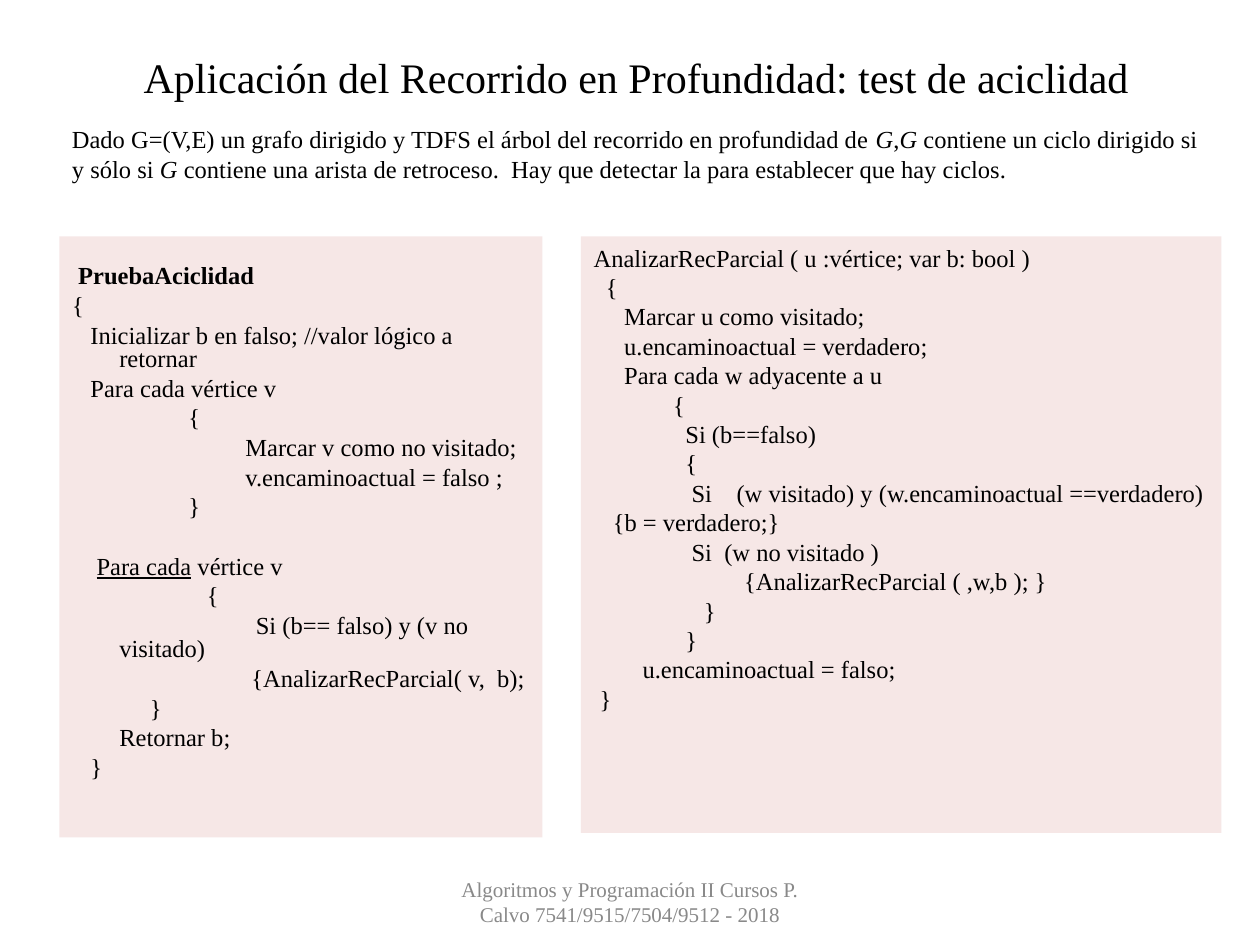
"""Build the slide on the acyclicity test by depth-first traversal."""
import pptx
import pptx.dml.color
import pptx.enum.text
import pptx.oxml.ns
import pptx.util

Pt = pptx.util.Pt
Anchor = pptx.enum.text.MSO_ANCHOR
Align = pptx.enum.text.PP_ALIGN

COLORS = {"text": "000000", "panel": "F2DCDB", "footer": "898989"}
FONT = "Times New Roman"
SPACE = 3.5

TITLE = "Aplicación del Recorrido en Profundidad: test de aciclidad"
INTRO = [
    ("Dado G=(V,E) un grafo dirigido y TDFS el árbol del recorrido en profundidad de ", {}),
    ("G", {"italic": True}),
    (",", {}),
    ("G ", {"italic": True}),
    ("contiene un ciclo dirigido si y sólo si ", {}),
    ("G", {"italic": True}),
    (" contiene una arista de retroceso.  Hay que detectar la para establecer que hay ciclos.", {}),
]
FOOTER = "Algoritmos y Programación II Cursos P. Calvo 7541/9515/7504/9512 - 2018"

TEST_LINES = [
    (SPACE, [("PruebaAciclidad", {"bold": True})]),
    (0, "{"),
    (3 * SPACE, "Inicializar b en falso; //valor lógico a retornar"),
    (3 * SPACE, "Para cada vértice v"),
    (19 * SPACE, "{"),
    (99, "Marcar v como no visitado;"),
    (99, "v.encaminoactual = falso ;"),
    (19 * SPACE, "}"),
    (4 * SPACE, [("Para cada", {"underline": True}), (" vértice v", {})]),
    (22 * SPACE, "{"),
    (30 * SPACE, "Si (b== falso) y (v no visitado)"),
    (102.5, "{AnalizarRecParcial( v,  b);"),
    (44.5, "}"),
    (27, "Retornar b;"),
    (3 * SPACE, "}"),
]
SECOND_LOOP = 8
PARTIAL_LINES = [
    (0, "AnalizarRecParcial ( u :vértice; var b: bool )"),
    (2 * SPACE, "{"),
    (5 * SPACE, "Marcar u como visitado;"),
    (5 * SPACE, "u.encaminoactual = verdadero;"),
    (5 * SPACE, "Para cada w adyacente a u"),
    (13 * SPACE, "{"),
    (15 * SPACE, "Si (b==falso)"),
    (15 * SPACE, "{"),
    (16 * SPACE, "Si    (w visitado) y (w.encaminoactual ==verdadero)\v{b = verdadero;}"),
    (16 * SPACE, "Si  (w no visitado )"),
    (86, "{AnalizarRecParcial ( ,w,b ); }"),
    (18 * SPACE, "}"),
    (15 * SPACE, "}"),
    (8 * SPACE, "u.encaminoactual = falso;"),
    (SPACE, "}"),
]


class SlideBuilder:
    """Hold the style and the current slide."""

    def __init__(self, slide):
        self.slide = slide

    def apply(self, target, values):
        """Set each named value on the target."""
        for name, value in values.items():
            setattr(target, name, value)

    def place(self, shape, box, top_inset=3.6, anchor=Anchor.TOP):
        """Position a shape and format its text frame."""
        left, top, width, height = box
        self.apply(shape, {"left": Pt(left), "top": Pt(top), "width": Pt(width), "height": Pt(height)})
        self.apply(shape.text_frame, {
            "word_wrap": True, "auto_size": pptx.enum.text.MSO_AUTO_SIZE.NONE,
            "vertical_anchor": anchor, "margin_top": Pt(top_inset),
            "margin_left": Pt(7.2), "margin_right": Pt(7.2), "margin_bottom": Pt(3.6)})

    def fill_paragraph(self, paragraph, content, size=14, color="text", **layout):
        """Put a string or a list of formatted runs into a paragraph."""
        self.apply(paragraph, layout)
        runs = [(content, {})] if isinstance(content, str) else content
        for text, style in runs:
            for number, part in enumerate(text.split("\v")):
                if number:
                    paragraph.add_line_break()
                run = paragraph.add_run()
                run.text = part
                self.apply(run.font, {"name": FONT, "size": Pt(size), **style})
                run.font.color.rgb = pptx.dml.color.RGBColor.from_string(COLORS[color])

    def title(self, text, box):
        """Fill the title placeholder."""
        shape = self.slide.shapes.title
        self.place(shape, box, anchor=Anchor.MIDDLE)
        self.fill_paragraph(shape.text_frame.paragraphs[0], text, 24, alignment=Align.CENTER)

    def label(self, content, box, anchor=Anchor.TOP, **style):
        """Add a text box with one paragraph."""
        shape = self.slide.shapes.add_textbox(0, 0, 0, 0)
        self.place(shape, box, anchor=anchor)
        self.fill_paragraph(shape.text_frame.paragraphs[0], content, **style)

    def code_panel(self, index, lines, box, margin, top_inset=3.6, gaps=None, **layout):
        """Fill a body placeholder with indented code on a translucent panel."""
        shape = self.slide.placeholders[index]
        self.place(shape, box, top_inset)
        shape.fill.solid()
        shape.fill.fore_color.rgb = pptx.dml.color.RGBColor.from_string(COLORS["panel"])
        color = shape._element.spPr.find(".//" + pptx.oxml.ns.qn("a:srgbClr"))
        color.append(color.makeelement(pptx.oxml.ns.qn("a:alpha"), {"val": "68000"}))
        frame = shape.text_frame
        for number, (start, content) in enumerate(lines):
            paragraph = frame.add_paragraph() if number else frame.paragraphs[0]
            spacing = {**layout, **(gaps or {}).get(number, {})}
            self.fill_paragraph(paragraph, content, **spacing)
            properties = paragraph._p.get_or_add_pPr()
            properties.set("marL", str(Pt(margin)))
            properties.set("indent", str(Pt(start - margin)))
            properties.append(properties.makeelement(pptx.oxml.ns.qn("a:buNone"), {}))


def main():
    """Create the presentation and save it."""
    presentation = pptx.Presentation()
    presentation.slide_width, presentation.slide_height = Pt(720), Pt(540)
    builder = SlideBuilder(presentation.slides.add_slide(presentation.slide_layouts[3]))
    builder.title(TITLE, (39.6, 24, 648, 40))
    builder.code_panel(1, TEST_LINES, (34, 135, 276, 343.5), 27, 17,
                       gaps={0: {"space_before": Pt(0)}, SECOND_LOOP: {"space_before": Pt(20.5)}},
                       line_spacing=0.8, space_before=Pt(3.5))
    builder.code_panel(2, PARTIAL_LINES, (332, 135, 366, 341), 11,
                       line_spacing=1.0, space_before=Pt(0))
    builder.label(INTRO, (34, 67.5, 658, 41))
    builder.label(FOOTER, (246, 500.5, 228, 29), Anchor.MIDDLE,
                  size=12, color="footer", alignment=Align.CENTER)
    presentation.save("out.pptx")


if __name__ == "__main__":
    main()
